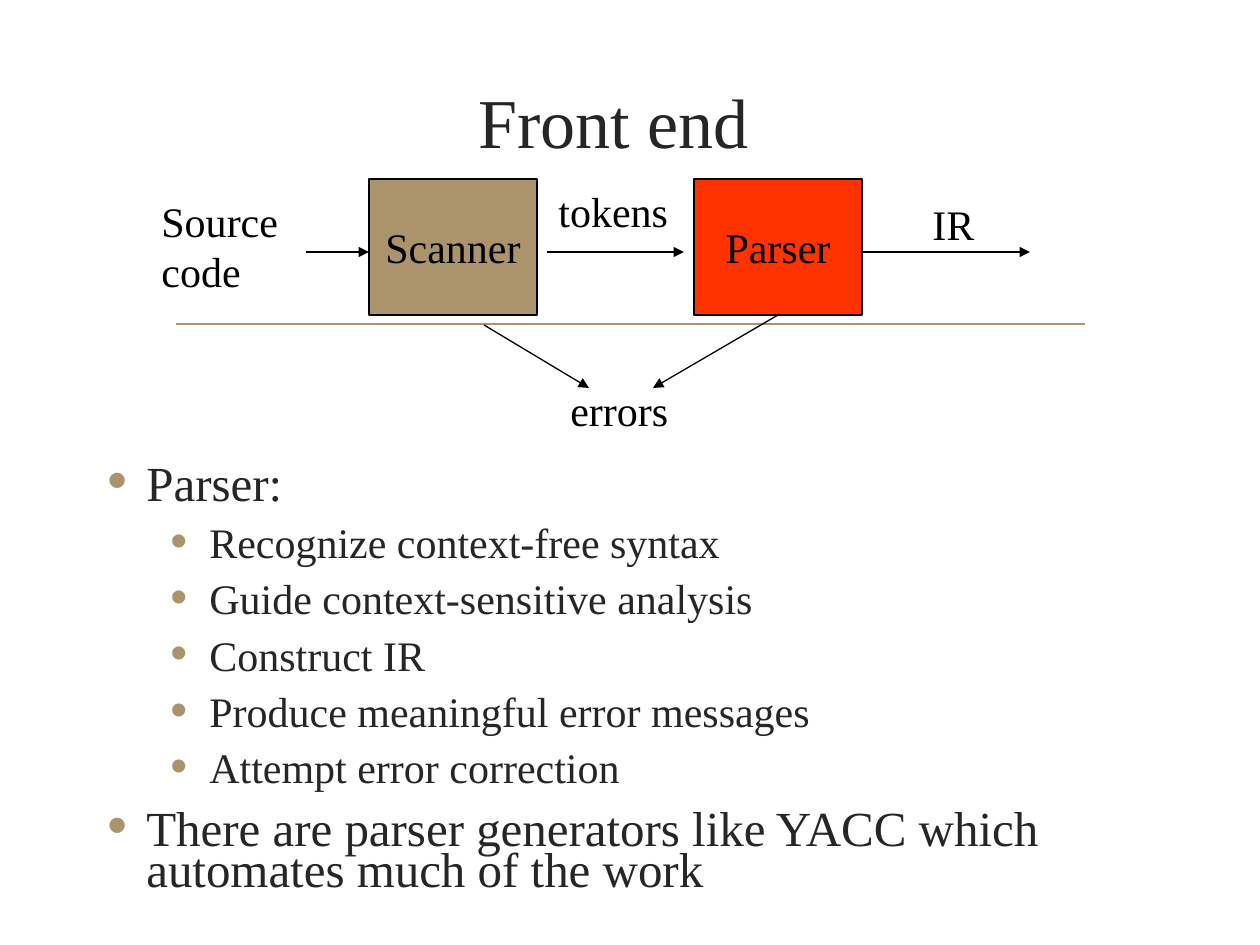
import pptx
import pptx.util
import pptx.dml.color
import pptx.enum.shapes
import pptx.enum.text
import pptx.oxml.ns
from lxml import etree

RGB = pptx.dml.color.RGBColor
TAN = RGB(0xAB, 0x94, 0x6B)
RED = RGB(0xFF, 0x33, 0x00)
BLACK = RGB(0, 0, 0)
DARK = RGB(0x26, 0x26, 0x26)
FONT = "Times New Roman"
ALIGN = pptx.enum.text.PP_ALIGN
ANCHOR = pptx.enum.text.MSO_ANCHOR
AUTO = pptx.enum.text.MSO_AUTO_SIZE
SCALE = 914400 / 126

TITLE = ("Front end", (145, 30, 937, 180))
RULE = ((176, 324), (1085, 324))
STAGES = [("Scanner", 369, TAN), ("Parser", 694, RED)]
STAGE_TOP, STAGE_W, STAGE_H = 179, 168, 136
LABELS = [
    (["Source", "code"], (149, 189, 146, 113)),
    (["IR"], (920, 192, 70, 63)),
    (["errors"], (558, 378, 127, 63)),
    (["tokens"], (546, 179, 139, 63)),
]
ARROWS = [
    ((306, 252), (369, 252)),
    ((547, 252), (684, 252)),
    ((862, 252), (1030, 252)),
    ((484, 325), (589, 388)),
    ((778, 315), (653, 388)),
]
BODY_BOX = (95, 462, 1071, 451)
BODY = [
    (0, "Parser:"),
    (1, "Recognize context-free syntax"),
    (1, "Guide context-sensitive analysis"),
    (1, "Construct IR"),
    (1, "Produce meaningful error messages"),
    (1, "Attempt error correction"),
    (0, "There are parser generators like YACC which automates much of the work"),
]
LEVELS = [dict(size=28, before=7, indent=39), dict(size=24, before=6, indent=102)]
HANG = 39


def px(n):
    return round(n * SCALE)


def box(rect):
    return [px(n) for n in rect]


def add_bullet(p, indent):
    pPr = p._p.get_or_add_pPr()
    pPr.set("marL", str(px(indent)))
    pPr.set("indent", str(-px(HANG)))
    qn = pptx.oxml.ns.qn
    color = etree.SubElement(pPr, qn("a:buClr"))
    etree.SubElement(color, qn("a:srgbClr"), val=str(TAN))
    etree.SubElement(pPr, qn("a:buSzPct"), val="115000")
    etree.SubElement(pPr, qn("a:buFont"), typeface="Arial")
    etree.SubElement(pPr, qn("a:buChar"), char="•")


def write(p, text, size=24, color=BLACK, align=ALIGN.LEFT, level=0,
          before=None, after=None, spacing=None, indent=None):
    p.alignment = align
    p.level = level
    if spacing:
        p.line_spacing = spacing
    if before is not None:
        p.space_before = pptx.util.Pt(before)
    if after is not None:
        p.space_after = pptx.util.Pt(after)
    if indent is not None:
        add_bullet(p, indent)
    r = p.add_run()
    r.text = text
    r.font.name = FONT
    r.font.size = pptx.util.Pt(size)
    r.font.color.rgb = color


def paragraphs(tf, items):
    for i, item in enumerate(items):
        yield i, (tf.paragraphs[0] if i == 0 else tf.add_paragraph()), item


def add_line(s, start, end, color=BLACK, width=0.75, arrow=True):
    line = s.shapes.add_connector(
        pptx.enum.shapes.MSO_CONNECTOR.STRAIGHT, *box(start + end))
    line.line.color.rgb = color
    line.line.width = pptx.util.Pt(width)
    qn = pptx.oxml.ns.qn
    spPr = line._element.spPr
    if arrow:
        etree.SubElement(spPr.find(qn("a:ln")), qn("a:tailEnd"), type="triangle")
    etree.SubElement(spPr, qn("a:effectLst"))


def add_stage(s, name, left, fill):
    sp = s.shapes.add_shape(pptx.enum.shapes.MSO_SHAPE.RECTANGLE,
                            *box((left, STAGE_TOP, STAGE_W, STAGE_H)))
    sp.shadow.inherit = False
    sp.fill.solid()
    sp.fill.fore_color.rgb = fill
    sp.line.color.rgb = BLACK
    sp.line.width = pptx.util.Pt(0.75)
    tf = sp.text_frame
    tf.word_wrap = False
    tf.vertical_anchor = ANCHOR.MIDDLE
    write(tf.paragraphs[0], name, align=ALIGN.CENTER)


def add_label(s, lines, rect):
    tf = s.shapes.add_textbox(*box(rect)).text_frame
    tf.word_wrap = True
    tf.auto_size = AUTO.NONE
    for _, p, text in paragraphs(tf, lines):
        write(p, text)


def add_body(s):
    tf = s.shapes.add_textbox(*box(BODY_BOX)).text_frame
    tf.word_wrap = True
    for i, p, (level, text) in paragraphs(tf, BODY):
        style = dict(LEVELS[level])
        if i == 0:
            style["before"] = 0
        write(p, text, color=DARK, level=level, spacing=0.7, after=6, **style)


def main():
    prs = pptx.Presentation()
    prs.slide_width, prs.slide_height = px(1260), px(945)
    s = prs.slides.add_slide(prs.slide_layouts[5])

    text, rect = TITLE
    title = s.shapes.title
    title.left, title.top, title.width, title.height = box(rect)
    title.text_frame.vertical_anchor = ANCHOR.MIDDLE
    write(title.text_frame.paragraphs[0], text, size=40, color=DARK, align=ALIGN.CENTER)

    add_line(s, *RULE, color=TAN, width=1.25, arrow=False)
    add_body(s)
    for stage in STAGES:
        add_stage(s, *stage)
    for label in LABELS:
        add_label(s, *label)
    for arrow in ARROWS:
        add_line(s, *arrow)
    prs.save("out.pptx")


if __name__ == "__main__":
    main()
